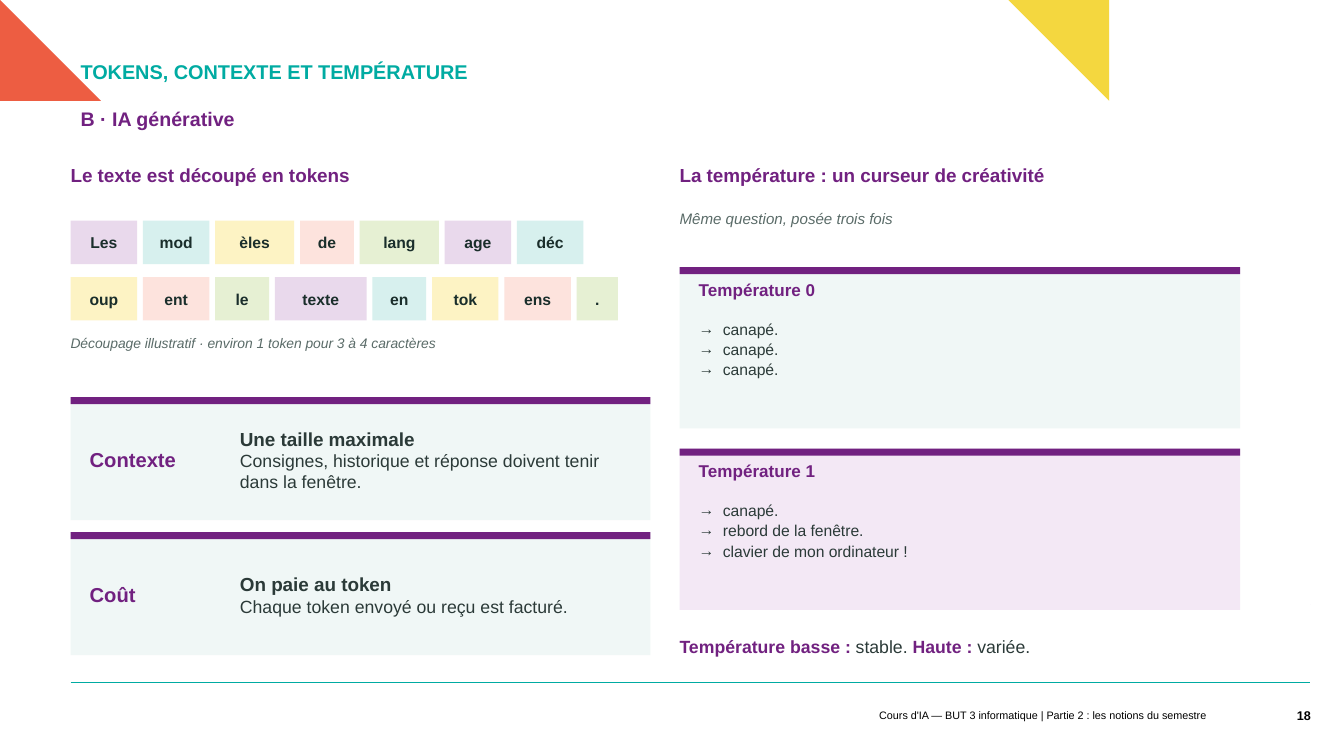
from math import cos, pi, sin

from lxml.etree import SubElement
from pptx import Presentation
from pptx.dml.color import RGBColor
from pptx.enum.shapes import MSO_CONNECTOR, MSO_SHAPE
from pptx.enum.text import MSO_ANCHOR, PP_ALIGN
from pptx.oxml.ns import qn
from pptx.util import Inches, Pt

TEAL = RGBColor(0x00, 0xAB, 0xA2)
PURPLE = RGBColor(0x71, 0x21, 0x80)
YELLOW = RGBColor(0xF4, 0xD7, 0x3F)
CORAL = RGBColor(0xED, 0x5D, 0x42)
BLACK = RGBColor(0x00, 0x00, 0x00)
TOKEN_INK = RGBColor(0x1A, 0x2E, 0x2B)
BODY_INK = RGBColor(0x2B, 0x3A, 0x38)
NOTE_INK = RGBColor(0x5A, 0x6B, 0x68)
MINT = RGBColor(0xF0, 0xF7, 0xF6)
LILAC = RGBColor(0xF3, 0xE8, 0xF5)
TOKEN_FILLS = [
    RGBColor(0xE9, 0xD9, 0xEC),
    RGBColor(0xD7, 0xF0, 0xEE),
    RGBColor(0xFD, 0xF3, 0xC4),
    RGBColor(0xFD, 0xE3, 0xDD),
    RGBColor(0xE6, 0xF0, 0xD3),
]

# Content
TITLE = "TOKENS, CONTEXTE ET TEMPÉRATURE"
SECTION = "B · IA générative"
FOOTER = "Cours d'IA — BUT 3 informatique | Partie 2 : les notions du semestre"
PAGE = "18"
TOKENS_HEADING = "Le texte est découpé en tokens"
TOKEN_ROWS = [
    ["Les", "mod", "èles", "de", "lang", "age", "déc"],
    ["oup", "ent", "le", "texte", "en", "tok", "ens", "."],
]
TOKENS_NOTE = "Découpage illustratif · environ 1 token pour 3 à 4 caractères"
LIMITS = [
    ("Contexte", "Une taille maximale",
     "Consignes, historique et réponse doivent tenir dans la fenêtre."),
    ("Coût", "On paie au token", "Chaque token envoyé ou reçu est facturé."),
]
TEMPERATURE_HEADING = "La température : un curseur de créativité"
TEMPERATURE_NOTE = "Même question, posée trois fois"
TEMPERATURES = [
    ("Température 0", MINT, ["canapé.", "canapé.", "canapé."]),
    ("Température 1", LILAC,
     ["canapé.", "rebord de la fenêtre.", "clavier de mon ordinateur !"]),
]
SUMMARY = [("Température basse : ", "stable. "), ("Haute : ", "variée.")]

# Grid, in inches
LEFT, LEFT_W = 0.7, 5.75
RIGHT, RIGHT_W = 6.74, 5.56
HEADING_Y, HEADING_H = 1.62, 0.41
PAD = 0.19
TOKEN_Y, TOKEN_H, TOKEN_STEP, TOKEN_GAP = 2.19, 0.43, 0.56, 0.057
TOKEN_BASE, CHAR_W = 0.285, 0.125
LIMIT_Y, LIMIT_H, LIMIT_STEP = 3.94, 1.22, 1.34
TEMP_Y, TEMP_H, TEMP_STEP = 2.65, 1.6, 1.8
BAND_H = 0.07
BULLET_INDENT = 0.24
RING_OUTER, RING_INNER = (0.54, 0.52), (0.28, 0.27)

prs = Presentation()
prs.slide_width, prs.slide_height = Inches(13.33), Inches(7.5)
slide = prs.slides.add_slide(prs.slide_layouts[6])
shapes = slide.shapes


def paint(shape, color):
    shape.shadow.inherit = False
    shape.fill.solid()
    shape.fill.fore_color.rgb = color
    shape.line.fill.background()
    return shape


def rect(x, y, w, h, color):
    return paint(shapes.add_shape(
        MSO_SHAPE.RECTANGLE, Inches(x), Inches(y), Inches(w), Inches(h)), color)


def outline(points, color):
    builder = shapes.build_freeform(*points[0], scale=Inches(1))
    builder.add_line_segments(points[1:], close=True)
    paint(builder.convert_to_shape(), color)


def half_ring(cx, cy, start, color):
    steps = 36
    angles = [start + pi * i / steps for i in range(steps + 1)]
    outer = [(cx + RING_OUTER[0] * cos(a), cy + RING_OUTER[1] * sin(a)) for a in angles]
    inner = [(cx + RING_INNER[0] * cos(a), cy + RING_INNER[1] * sin(a)) for a in angles]
    outline(outer + inner[::-1], color)


def set_frame(frame, anchor=MSO_ANCHOR.TOP, insets=(0, 0, 0, 0)):
    frame.word_wrap = True
    frame.vertical_anchor = anchor
    (frame.margin_left, frame.margin_top,
     frame.margin_right, frame.margin_bottom) = map(Inches, insets)
    return frame


def add_run(paragraph, text, size, color, bold=False, italic=False):
    run = paragraph.add_run()
    run.text = text
    font = run.font
    font.name, font.size, font.bold, font.italic = "Arial", Pt(size), bold, italic
    font.color.rgb = color


def text_box(x, y, w, h, **frame_options):
    box = shapes.add_textbox(Inches(x), Inches(y), Inches(w), Inches(h))
    return set_frame(box.text_frame, **frame_options)


def label(x, y, w, h, text, size, color, bold=False, italic=False,
          align=PP_ALIGN.LEFT, **frame_options):
    paragraph = text_box(x, y, w, h, **frame_options).paragraphs[0]
    paragraph.alignment = align
    add_run(paragraph, text, size, color, bold, italic)
    return paragraph


def arrow_bullet(paragraph):
    props = paragraph._p.get_or_add_pPr()
    props.set("marL", str(Inches(BULLET_INDENT)))
    props.set("indent", str(-Inches(BULLET_INDENT)))
    SubElement(props, qn("a:buFont")).set("typeface", "Arial")
    SubElement(props, qn("a:buChar")).set("char", "→")


def card(x, y, w, h, color):
    rect(x, y, w, h, color)
    rect(x, y, w, BAND_H, PURPLE)


# Decoration and footer rule
half_ring(10.66, 0, 0, YELLOW)
rule = shapes.add_connector(
    MSO_CONNECTOR.STRAIGHT, Inches(LEFT), Inches(6.77), Inches(12.99), Inches(6.77))
rule.line.color.rgb = TEAL
rule.line.width = Pt(0.5)
SubElement(rule._element.spPr, qn("a:effectLst"))
half_ring(0, 0.69, -pi / 2, CORAL)
outline([(12.77, 6.04), (13.01, 6.04), (13.01, 6.48),
         (12.54, 6.48), (12.54, 6.26), (12.77, 6.26)], PURPLE)

# Titles and footer
INSETS = (0.1, 0.05, 0.1, 0.05)
section = label(LEFT, 1.04, 9.72, 0.46, SECTION, 14, PURPLE, bold=True, insets=INSETS)
section.line_spacing = 0.9
title = label(LEFT, 0.54, 9.72, 0.34, TITLE, 14.2, TEAL, bold=True,
              anchor=MSO_ANCHOR.BOTTOM, insets=INSETS)
title.line_spacing = Pt(16.7)
label(5.43, 6.98, 6.63, 0.23, FOOTER, 7.7, BLACK, align=PP_ALIGN.RIGHT,
      anchor=MSO_ANCHOR.MIDDLE, insets=INSETS)
label(12.45, 6.9, 0.55, 0.4, PAGE, 9, BLACK, bold=True, align=PP_ALIGN.RIGHT,
      anchor=MSO_ANCHOR.MIDDLE, insets=(0.1, 0.05, 0, 0.05))

# Tokens: width follows the number of letters, colours run on across rows
label(LEFT, HEADING_Y, LEFT_W, HEADING_H, TOKENS_HEADING, 13.5, PURPLE, bold=True)
token_count = 0
for row, tokens in enumerate(TOKEN_ROWS):
    x = LEFT
    for token in tokens:
        width = TOKEN_BASE + CHAR_W * len(token)
        tile = rect(x, TOKEN_Y + row * TOKEN_STEP, width, TOKEN_H,
                    TOKEN_FILLS[token_count % len(TOKEN_FILLS)])
        paragraph = set_frame(tile.text_frame, MSO_ANCHOR.MIDDLE).paragraphs[0]
        paragraph.alignment = PP_ALIGN.CENTER
        add_run(paragraph, token, 11.2, TOKEN_INK, bold=True)
        x += width + TOKEN_GAP
        token_count += 1
label(LEFT, 3.32, LEFT_W, 0.52, TOKENS_NOTE, 9.9, NOTE_INK, italic=True)

# Context and cost cards
for i, (name, headline, detail) in enumerate(LIMITS):
    y = LIMIT_Y + i * LIMIT_STEP
    card(LEFT, y, LEFT_W, LIMIT_H, MINT)
    label(LEFT + PAD, y + 0.1, 1.44, 1.03, name, 14.4, PURPLE, bold=True,
          anchor=MSO_ANCHOR.MIDDLE)
    frame = text_box(2.38, y + 0.08, 3.93, 1.08, anchor=MSO_ANCHOR.MIDDLE)
    add_run(frame.paragraphs[0], headline, 13.5, BODY_INK, bold=True)
    add_run(frame.add_paragraph(), detail, 12.6, BODY_INK)

# Temperature cards
label(RIGHT, HEADING_Y, RIGHT_W, HEADING_H, TEMPERATURE_HEADING, 13.5, PURPLE, bold=True)
label(RIGHT, 2.08, RIGHT_W, HEADING_H, TEMPERATURE_NOTE, 10.8, NOTE_INK, italic=True)
for i, (name, color, answers) in enumerate(TEMPERATURES):
    y = TEMP_Y + i * TEMP_STEP
    card(RIGHT, y, RIGHT_W, TEMP_H, color)
    label(RIGHT + PAD, y + 0.12, RIGHT_W - 2 * PAD, 0.36, name, 12.2, PURPLE, bold=True)
    frame = text_box(RIGHT + PAD, y + 0.52, RIGHT_W - 2 * PAD, 1.03)
    for n, answer in enumerate(answers):
        paragraph = frame.add_paragraph() if n else frame.paragraphs[0]
        arrow_bullet(paragraph)
        paragraph.space_after = Pt(1)
        add_run(paragraph, answer, 11.2, BODY_INK)

# Summary
summary = text_box(RIGHT, 6.31, RIGHT_W, HEADING_H).paragraphs[0]
for setting, effect in SUMMARY:
    add_run(summary, setting, 12.6, PURPLE, bold=True)
    add_run(summary, effect, 12.6, BODY_INK)

prs.save("out.pptx")
